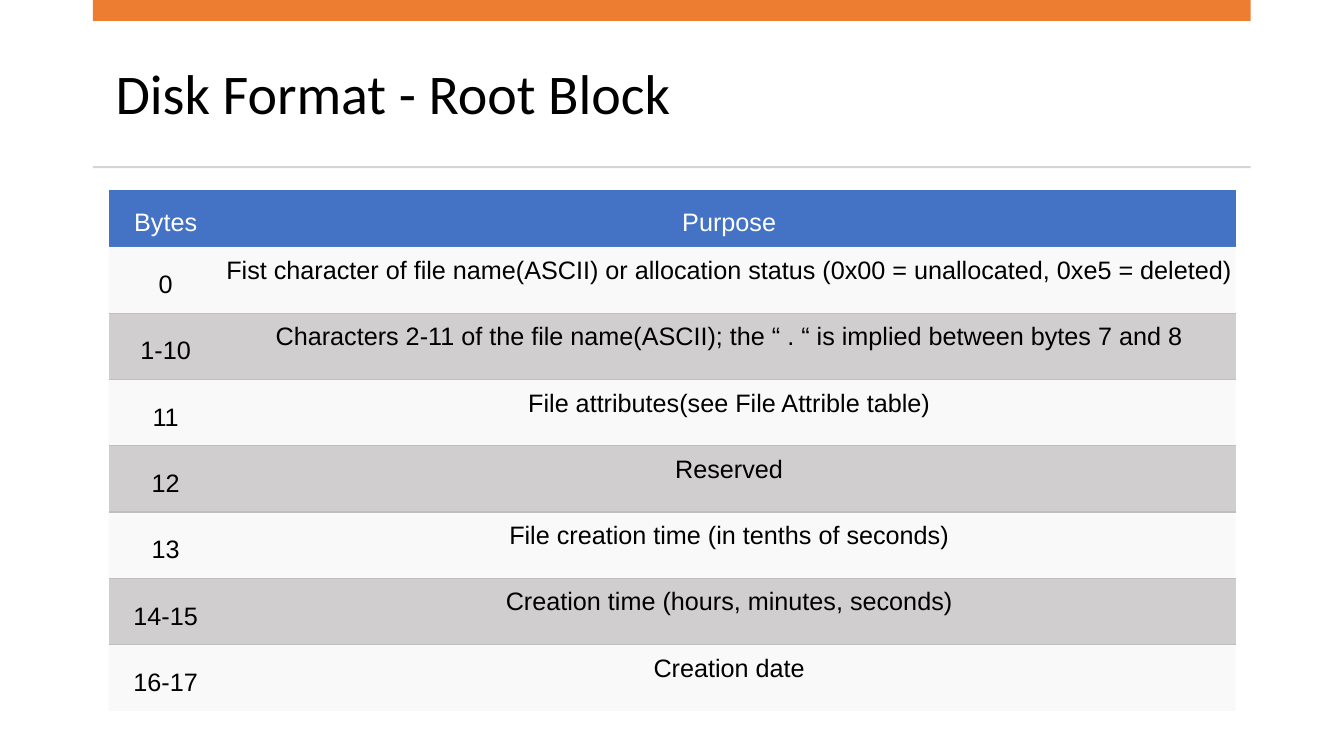
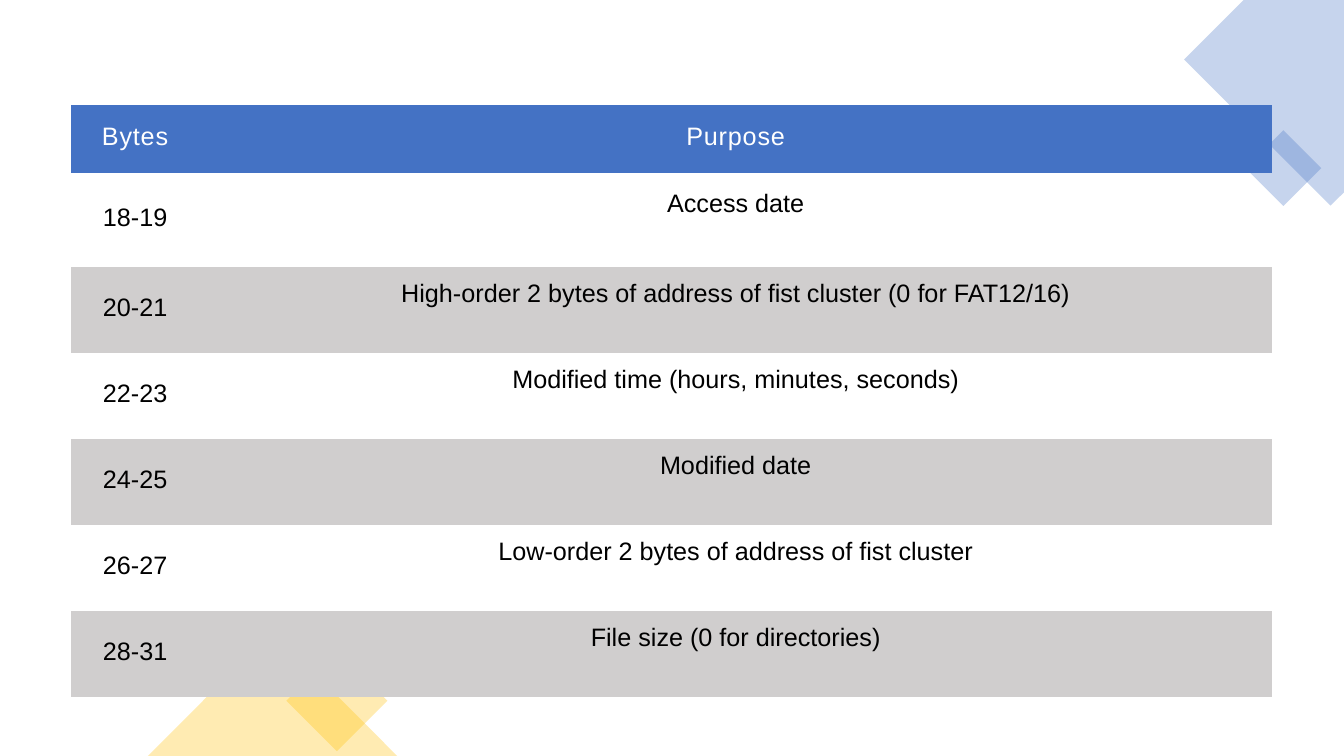
"""Build two slides that tabulate the bytes of a disk directory entry."""

from lxml.etree import SubElement
from pptx import Presentation
from pptx.dml.color import RGBColor
from pptx.enum.shapes import MSO_SHAPE
from pptx.enum.text import MSO_ANCHOR, MSO_AUTO_SIZE, PP_ALIGN
from pptx.oxml.ns import qn
from pptx.util import Cm, Pt

COLORS = {
    "text": "000000",
    "white": "FFFFFF",
    "blue": "4472C4",
    "orange": "ED7D31",
    "gold": "FFC000",
    "rule": "D5D5D5",
    "light": "F2F2F2",
    "band": "D0CECE",
    "border": "BFBFBF",
}
NO_GRID_STYLE = "{2D5ABB26-0587-4C30-8999-92F81FD0307C}"
HEADINGS = ("Bytes", "Purpose")
ROOT_BLOCK = [
    ("0", "Fist character of file name(ASCII) or allocation status "
          "(0x00 = unallocated, 0xe5 = deleted)"),
    ("1-10", "Characters 2-11 of the file name(ASCII); the “ . “ is implied between bytes 7 and 8"),
    ("11", "File attributes(see File Attrible table)"),
    ("12", "Reserved"),
    ("13", "File creation time (in tenths of seconds)"),
    ("14-15", "Creation time (hours, minutes, seconds)"),
    ("16-17", "Creation date"),
]
REMAINING_BYTES = [
    ("18-19", "Access date"),
    ("20-21", "High-order 2 bytes of address of fist cluster (0 for FAT12/16)"),
    ("22-23", "Modified time (hours, minutes, seconds)"),
    ("24-25", "Modified date"),
    ("26-27", "Low-order 2 bytes of address of fist cluster"),
    ("28-31", "File size (0 for directories)"),
]


class Deck:
    """Hold the shared style and the current slide."""

    def __init__(self):
        """Start a widescreen presentation."""
        self.presentation = Presentation()
        self.presentation.slide_width = Cm(33.87)
        self.presentation.slide_height = Cm(19.05)
        self.slide = None

    def add_slide(self, layout_index):
        """Add a slide and make it current."""
        layout = self.presentation.slide_layouts[layout_index]
        self.slide = self.presentation.slides.add_slide(layout)

    def color(self, name):
        """Return a named colour."""
        return RGBColor.from_string(COLORS[name])

    def paint(self, fill, name, element, opacity=100):
        """Apply a solid fill with optional transparency."""
        fill.solid()
        fill.fore_color.rgb = self.color(name)
        if opacity < 100:
            color_element = element.find(qn("a:solidFill")).find(qn("a:srgbClr"))
            SubElement(color_element, qn("a:alpha"), val=str(opacity * 1000))

    def add_text(self, frame, text, size, font, color, alignment):
        """Add one formatted run to the first paragraph."""
        paragraph = frame.paragraphs[0]
        paragraph.alignment = alignment
        run = paragraph.add_run()
        run.text = text
        run.font.size = Pt(size)
        run.font.name = font
        run.font.color.rgb = self.color(color)
        return run

    def title(self, text, left, top, width, height):
        """Place and format the title placeholder."""
        shape = self.slide.shapes.title
        shape.left, shape.top = Cm(left), Cm(top)
        shape.width, shape.height = Cm(width), Cm(height)
        frame = shape.text_frame
        frame.auto_size = MSO_AUTO_SIZE.NONE
        frame.vertical_anchor = MSO_ANCHOR.MIDDLE
        frame.paragraphs[0].line_spacing = 0.9
        self.add_text(frame, text, 40, "Calibri", "text", PP_ALIGN.LEFT)

    def finish(self, shape, color, opacity):
        """Give a shape its fill without line or shadow."""
        shape.shadow.inherit = False
        shape.line.fill.background()
        self.paint(shape.fill, color, shape.element.spPr, opacity)

    def shape(self, preset, box, color, opacity=100, rotation=0, group=None):
        """Add a preset shape."""
        shapes = (group or self.slide).shapes
        shape = shapes.add_shape(preset, *(Cm(length) for length in box))
        shape.rotation = rotation
        self.finish(shape, color, opacity)

    def outline(self, points, color, opacity=100, group=None):
        """Add a closed freeform outline."""
        shapes = (group or self.slide).shapes
        vertices = [(Cm(x), Cm(y)) for x, y in points]
        builder = shapes.build_freeform(*vertices[0])
        builder.add_line_segments(vertices[1:], close=True)
        self.finish(builder.convert_to_shape(), color, opacity)

    def border(self, cell, tag):
        """Draw one thin grey cell border."""
        properties = cell._tc.get_or_add_tcPr()
        line = SubElement(properties, qn(tag), w=str(Pt(1)))
        fill = SubElement(line, qn("a:solidFill"))
        SubElement(fill, qn("a:srgbClr"), val=COLORS["border"])
        properties.insert(0, line)

    def cell(self, cell, text, color, margins, spacing=0):
        """Fill a table cell with centred text."""
        left, top, bottom = margins
        cell.margin_left, cell.margin_right = Cm(left), Cm(0)
        cell.margin_top, cell.margin_bottom = Cm(top), Cm(bottom)
        cell.vertical_anchor = MSO_ANCHOR.MIDDLE
        run = self.add_text(cell.text_frame, text, 18, "Arial", color, PP_ALIGN.CENTER)
        if spacing:
            run.font._element.set("spc", str(spacing))

    def table(self, rows, left, top, widths, heights, margins, purpose_margins,
              spacing=0, tinted=False):
        """Add a banded table with a blue heading row."""
        frame = self.slide.shapes.add_table(
            len(rows) + 1, len(widths), Cm(left), Cm(top),
            Cm(sum(widths)), Cm(sum(heights)))
        table = frame.table
        table.horz_banding = False
        table._tbl.tblPr.find(qn("a:tableStyleId")).text = NO_GRID_STYLE
        for column, width in zip(table.columns, widths):
            column.width = Cm(width)
        for row, height in zip(table.rows, heights):
            row.height = Cm(height)
        for column_index, heading in enumerate(HEADINGS):
            cell = table.cell(0, column_index)
            self.cell(cell, heading, "white", margins, spacing)
            self.paint(cell.fill, "blue", cell._tc.tcPr)
        for row_index, values in enumerate(rows, start=1):
            for column_index, value in enumerate(values):
                cell = table.cell(row_index, column_index)
                cell_margins = purpose_margins if column_index else margins
                self.cell(cell, value, "text", cell_margins)
                self.band(cell, row_index, row_index == len(rows), tinted)

    def band(self, cell, row_index, last, tinted):
        """Fill a body cell according to its row."""
        if row_index % 2 == 0:
            self.paint(cell.fill, "band", cell._tc.tcPr)
        elif tinted:
            self.paint(cell.fill, "light", cell._tc.tcPr, 45)
        else:
            cell.fill.background()
        if tinted and row_index % 2 == 0:
            self.border(cell, "a:lnT")
        elif tinted and not last:
            self.border(cell, "a:lnB")


def root_block_slide(deck):
    """Build the titled slide with the first bytes."""
    deck.add_slide(5)
    left, width = 2.34, 29.18
    deck.title(" Disk Format - Root Block", left, 0.94, width, 3)
    deck.shape(MSO_SHAPE.RECTANGLE, (left, 0, width, 0.53), "orange")
    deck.shape(MSO_SHAPE.RECTANGLE, (left, 4.19, width, 0.05), "rule")
    deck.table(ROOT_BLOCK, 2.74, 4.78, (2.87, 25.53),
               [1.44] + [1.67] * len(ROOT_BLOCK),
               margins=(0, 0.25, 0), purpose_margins=(0, 0, 0.46), tinted=True)


def remaining_bytes_slide(deck):
    """Build the decorated slide with the remaining bytes."""
    deck.add_slide(6)
    corner = deck.slide.shapes.add_group_shape()
    deck.outline([(33.87, 0), (31.34, 0), (29.84, 1.5), (33.53, 5.18), (33.87, 4.85)],
                 "blue", 30, corner)
    deck.shape(MSO_SHAPE.RECTANGLE, (31.67, 3.56, 1.35, 1.35), "blue", 30, 315, corner)
    deck.shape(MSO_SHAPE.RECTANGLE, (7.59, 16.76, 1.8, 1.8), "gold", 30, 45)
    deck.shape(MSO_SHAPE.ISOSCELES_TRIANGLE, (3.73, 15.9, 6.28, 3.15), "gold", 30)
    deck.table(REMAINING_BYTES, 1.78, 2.64, (2.69, 27.58),
               [1.72, 2.36] + [2.17] * (len(REMAINING_BYTES) - 1),
               margins=(0.56, 0.33, 0.43), purpose_margins=(0.56, 0, 0.81), spacing=60)


def main():
    """Build and save the presentation."""
    deck = Deck()
    root_block_slide(deck)
    remaining_bytes_slide(deck)
    deck.presentation.save("out.pptx")


if __name__ == "__main__":
    main()
